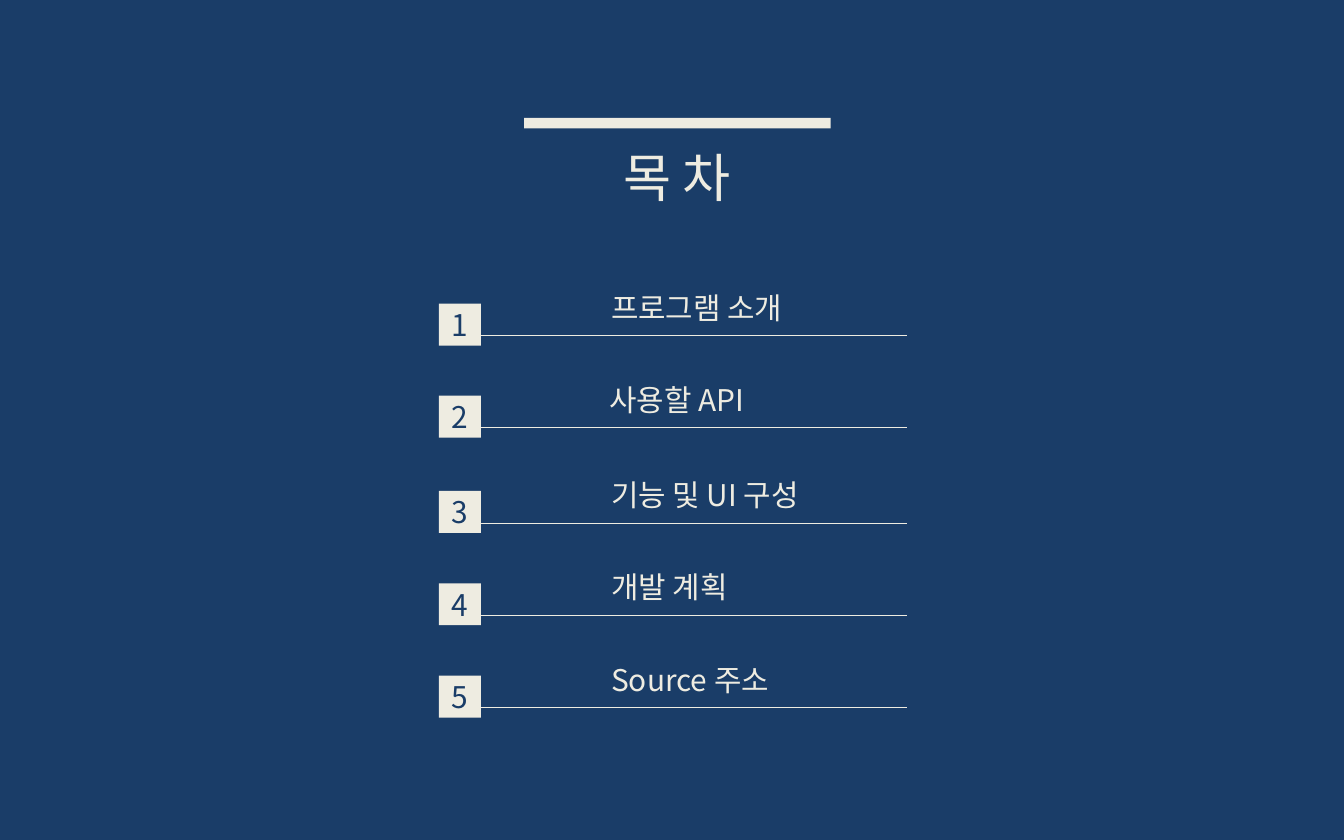
from lxml import etree
from pptx import Presentation
from pptx.dml.color import RGBColor
from pptx.enum.shapes import MSO_CONNECTOR, MSO_SHAPE
from pptx.enum.text import MSO_ANCHOR, MSO_AUTO_SIZE, PP_ALIGN
from pptx.oxml.ns import qn
from pptx.util import Pt

RECTANGLE = MSO_SHAPE.RECTANGLE
STRAIGHT = MSO_CONNECTOR.STRAIGHT
MIDDLE = MSO_ANCHOR.MIDDLE
GROW = MSO_AUTO_SIZE.SHAPE_TO_FIT_TEXT
LEFT, CENTER = PP_ALIGN.LEFT, PP_ALIGN.CENTER

FONT = "Noto Sans CJK KR"
COLORS = {"navy": "1A3D68", "cream": "EEECE1"}

BAR_LEFT, BAR_WIDTH = 280.8, 164.2
BADGE_LEFT, BADGE_SIZE = 235.2, 22.5
RULE_START, RULE_END = 253.4, 486
RULE_DROP = 17.1
LABEL_LEFT, LABEL_WIDTH, LABEL_HEIGHT = 320.4, 228.2, 26.6
LABEL_RISE = 11.2

# Badge top, label shift to the right, label text
ITEMS = [
    (162.7, 0, "프로그램 소개"),
    (212, -1, "사용할 API"),
    (263, 0, "기능 및 UI 구성"),
    (312.5, 0, "개발 계획"),
    (362, 0, "Source 주소"),
]


def color(name):
    return RGBColor.from_string(COLORS[name])


def write(shape, text, size, color_name, alignment, spacing=0):
    """Put one formatted line in the shape; spacing is between letters, in points."""
    shape.text_frame.text = text
    paragraph = shape.text_frame.paragraphs[0]
    paragraph.alignment = alignment
    font = paragraph.runs[0].font
    font.size = Pt(size)
    font.name = FONT
    font.color.rgb = color(color_name)
    properties = paragraph.runs[0]._r.get_or_add_rPr()
    etree.SubElement(properties, qn("a:ea")).set("typeface", FONT)
    if spacing:
        properties.set("spc", str(spacing * 100))


def add_block(slide, left, top, width, height):
    shape = slide.shapes.add_shape(RECTANGLE, Pt(left), Pt(top), Pt(width), Pt(height))
    shape.shadow.inherit = False
    shape.fill.solid()
    shape.fill.fore_color.rgb = color("cream")
    shape.line.fill.background()
    return shape


def add_label(slide, left, top, width, height, text, size, alignment=LEFT, spacing=0):
    box = slide.shapes.add_textbox(Pt(left), Pt(top), Pt(width), Pt(height))
    box.text_frame.word_wrap = True
    box.text_frame.auto_size = GROW
    write(box, text, size, "cream", alignment, spacing)


def add_badge(slide, top, number):
    badge = add_block(slide, BADGE_LEFT, top, BADGE_SIZE, BADGE_SIZE)
    frame = badge.text_frame
    frame.margin_left = frame.margin_right = frame.margin_top = frame.margin_bottom = 0
    frame.vertical_anchor = MIDDLE
    write(badge, str(number), 16, "navy", CENTER)


def add_rule(slide, top):
    rule = slide.shapes.add_connector(
        STRAIGHT, Pt(RULE_START), Pt(top), Pt(RULE_END), Pt(top))
    rule.line.color.rgb = color("cream")
    rule.line.width = Pt(0.25)
    etree.SubElement(rule._element.spPr, qn("a:effectLst"))


def add_item(slide, number, top, shift, text):
    add_badge(slide, top, number)
    add_rule(slide, top + RULE_DROP)
    add_label(slide, LABEL_LEFT + shift, top - LABEL_RISE,
              LABEL_WIDTH, LABEL_HEIGHT, text, 16)


def main():
    presentation = Presentation()
    presentation.slide_width = Pt(720)
    presentation.slide_height = Pt(450)
    slide = presentation.slides.add_slide(presentation.slide_layouts[6])
    slide.background.fill.solid()
    slide.background.fill.fore_color.rgb = color("navy")

    add_block(slide, BAR_LEFT, 63.2, BAR_WIDTH, 5.6)
    add_label(slide, BAR_LEFT, 74.2, BAR_WIDTH, 41, "목차", 28, CENTER, spacing=6)
    for number, item in enumerate(ITEMS, start=1):
        add_item(slide, number, *item)

    presentation.save("out.pptx")


if __name__ == "__main__":
    main()
